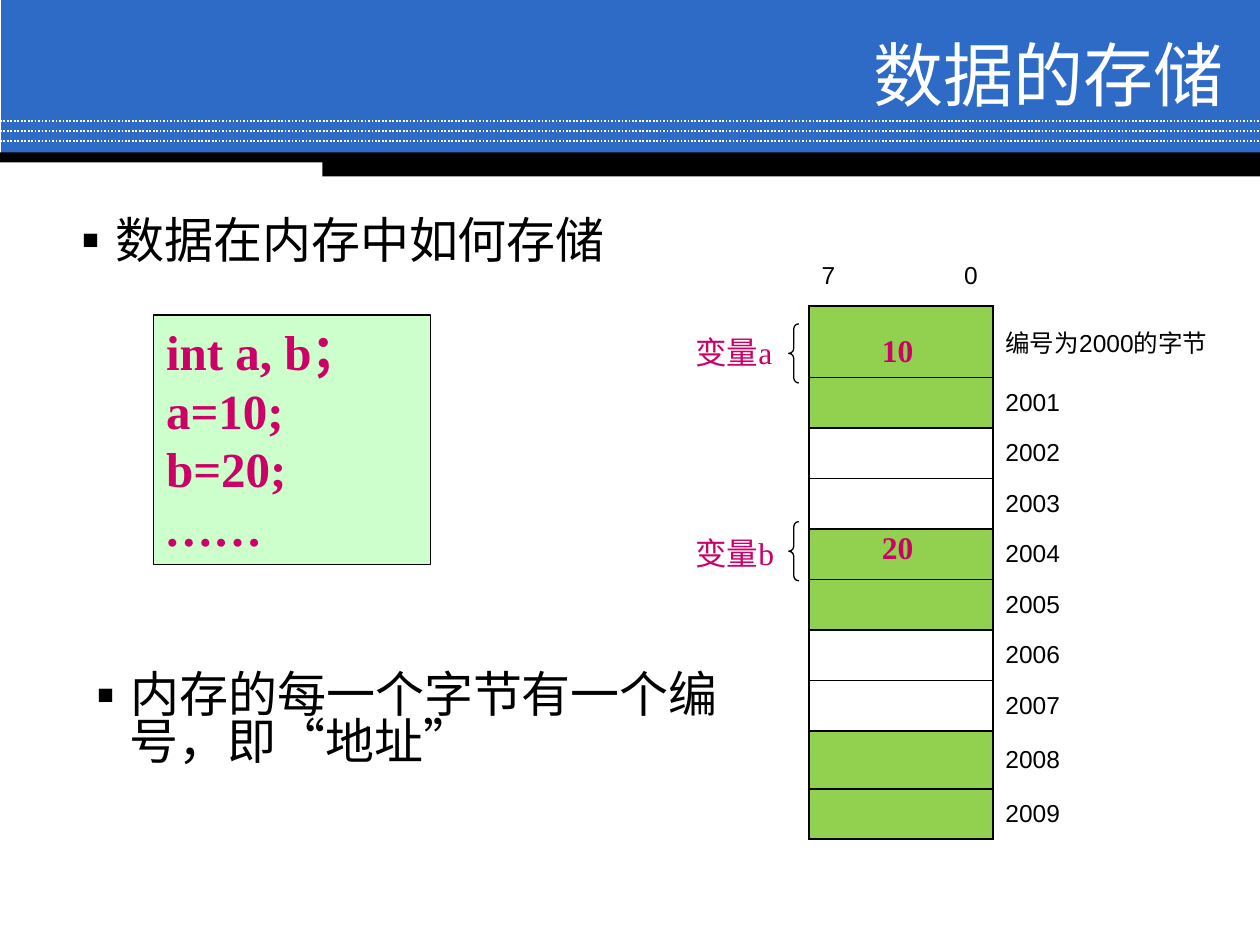
from lxml import etree
from pptx import Presentation, util as u
from pptx.dml.color import RGBColor
from pptx.enum import dml, shapes, text
from pptx.oxml.ns import qn

BLUE = RGBColor(0x2D, 0x6B, 0xC7)
WHITE = RGBColor(0xFF, 0xFF, 0xFF)
BLACK = RGBColor(0, 0, 0)
MINT = RGBColor(0xCC, 0xFF, 0xCC)
GREEN = RGBColor(0x92, 0xD0, 0x50)
MAGENTA = RGBColor(0xCC, 0, 0x66)
SANS, SERIF, CJK = "Arial", "Times New Roman", "Noto Sans CJK SC"
NO_STYLE = "{2D5ABB26-0587-4C30-8999-92F81FD0307C}"

TITLE = "数据的存储"
BULLETS = [  # text, left, top, width, height, line spacing
    ("数据在内存中如何存储", 0.43, 1.61, 5.35, 0.8, 1.0),
    ("内存的每一个字节有一个编号，即“地址”", 0.55, 5.31, 5.3, 1.02, 0.8),
]
CODE = ["int a, b；", "a=10;", "b=20;", "……"]
BIT_RANGE = "7\t0"
ADDRESSES = ["编号为2000的字节"] + [str(n) for n in range(2001, 2010)]
VARIABLES = [  # name, value, label top, value top, brace top
    ("变量a", "10", 2.59, 2.58, 2.57),
    ("变量b", "20", 4.19, 4.14, 4.14),
]
COLUMNS = [1.46, 1.89]
HEADER_HEIGHT, BYTE_HEIGHT, TALL_HEIGHT = 0.35, 0.4, 0.46
TALL_ROW = 9
BYTES_PER_VARIABLE, VARIABLE_STRIDE = 2, 4


def inches(*lengths):
    return [u.Inches(n) for n in lengths]


def write(paragraph, words, size, font=SANS, color=BLACK, bold=False, italic=False):
    run = paragraph.add_run()
    run.text = words
    run.font.size = u.Pt(size)
    run.font.name = font
    run.font.bold, run.font.italic = bold, italic
    run.font.color.rgb = color
    latin = run.font._element.find(qn("a:latin"))
    east_asian = etree.Element(qn("a:ea"), typeface=CJK)
    latin.addnext(east_asian)


def add_label(slide, words, box, size, **style):
    label = slide.shapes.add_textbox(*inches(*box))
    label.text_frame.word_wrap = True
    write(label.text_frame.paragraphs[0], words, size, **style)
    return label.text_frame.paragraphs[0]


def add_figure(slide, kind, box, fill=None, line=None):
    figure = slide.shapes.add_shape(kind, *inches(*box))
    figure.shadow.inherit = False
    if fill is None:
        figure.fill.background()
    else:
        figure.fill.solid()
        figure.fill.fore_color.rgb = fill
    if line is None:
        figure.line.fill.background()
    else:
        figure.line.color.rgb = line
        figure.line.width = u.Pt(0.75)
    return figure


def add_banner(slide):
    rect = shapes.MSO_SHAPE.RECTANGLE
    add_figure(slide, rect, (0.01, 0, 9.99, 1.23), BLUE)
    for row in range(3):
        y = 0.96 + 0.08 * row
        dots = slide.shapes.add_connector(shapes.MSO_CONNECTOR.STRAIGHT, *inches(0, y, 10, y))
        dots.line.color.rgb = WHITE
        dots.line.width = u.Pt(1)
        dots.line.dash_style = dml.MSO_LINE.ROUND_DOT
        etree.SubElement(dots._element.spPr, qn("a:effectLst"))
    add_figure(slide, rect, (0, 1.21, 10, 0.08), BLACK)
    add_figure(slide, rect, (2.56, 1.24, 7.44, 0.16), BLACK)


def add_title(slide):
    title = slide.shapes.title
    title.left, title.top, title.width, title.height = inches(2.89, 0.29, 6.92, 0.58)
    title.text_frame.vertical_anchor = text.MSO_ANCHOR.MIDDLE
    title.text_frame.auto_size = text.MSO_AUTO_SIZE.NONE
    paragraph = title.text_frame.paragraphs[0]
    paragraph.alignment = text.PP_ALIGN.RIGHT
    write(paragraph, TITLE, 40, font=CJK, color=WHITE)
    slide.shapes._spTree.append(title._element)  # in front of the banner


def add_bullet(slide, words, *box, spacing):
    paragraph = add_label(slide, words, box, 28, font=CJK)
    paragraph.line_spacing = spacing
    properties = paragraph._p.get_or_add_pPr()
    properties.set("marL", str(u.Inches(0.38)))
    properties.set("indent", str(-u.Inches(0.38)))
    etree.SubElement(properties, qn("a:buFont"), typeface=CJK)
    etree.SubElement(properties, qn("a:buChar"), char="▪")


def add_code(slide):
    box = add_figure(slide, shapes.MSO_SHAPE.RECTANGLE, (1.22, 2.5, 2.2, 1.98), MINT, BLACK)
    frame = box.text_frame
    frame.vertical_anchor = text.MSO_ANCHOR.TOP
    for i, line in enumerate(CODE):
        paragraph = frame.add_paragraph() if i else frame.paragraphs[0]
        paragraph.alignment = text.PP_ALIGN.LEFT
        write(paragraph, line, 28, font=SERIF, color=MAGENTA, bold=True, italic=line == "……")


def set_borders(cell, sides):
    """Draw black borders on the given sides, before the cell's fill is set."""
    properties = cell._tc.get_or_add_tcPr()
    for side in sides:
        border = etree.SubElement(properties, qn(f"a:ln{side}"), w=str(u.Pt(1)))
        fill = etree.SubElement(border, qn("a:solidFill"))
        etree.SubElement(fill, qn("a:srgbClr"), val=str(BLACK))


def add_memory(slide):
    heights = [HEADER_HEIGHT] + [BYTE_HEIGHT] * len(ADDRESSES)
    heights[TALL_ROW] = TALL_HEIGHT
    box = inches(6.42, 2.03, sum(COLUMNS), sum(heights))
    table = slide.shapes.add_table(len(heights), len(COLUMNS), *box).table
    table.first_row = table.horz_banding = False
    table._tbl.tblPr.find(qn("a:tableStyleId")).text = NO_STYLE
    for column, width in zip(table.columns, COLUMNS):
        column.width = u.Inches(width)
    for row, height in zip(table.rows, heights):
        row.height = u.Inches(height)

    header, blank = table.cell(0, 0), table.cell(0, 1)
    set_borders(header, "B")
    header.fill.background()
    blank.fill.background()
    paragraph = header.text_frame.paragraphs[0]
    tabs = etree.SubElement(paragraph._p.get_or_add_pPr(), qn("a:tabLst"))
    etree.SubElement(tabs, qn("a:tab"), pos=str(u.Inches(1.24)), algn="r")
    write(paragraph, BIT_RANGE, 14)

    for i, address in enumerate(ADDRESSES):
        byte, number = table.cell(i + 1, 0), table.cell(i + 1, 1)
        set_borders(byte, "LRTB")
        set_borders(number, "L")
        if i % VARIABLE_STRIDE < BYTES_PER_VARIABLE:
            byte.fill.solid()
            byte.fill.fore_color.rgb = GREEN
        else:
            byte.fill.background()
        number.fill.background()
        number.vertical_anchor = text.MSO_ANCHOR.MIDDLE
        write(number.text_frame.paragraphs[0], address, 14)


def add_variable(slide, name, value, name_top, value_top, brace_top):
    style = dict(font=SERIF, color=MAGENTA)
    add_label(slide, value, (6.9, value_top, 0.62, 0.4), 18, bold=True, **style)
    add_label(slide, name, (5.42, name_top, 1.02, 0.4), 18, **style)
    brace = add_figure(slide, shapes.MSO_SHAPE.LEFT_BRACE, (6.26, brace_top, 0.08, 0.47), line=BLACK)
    brace.adjustments[0] = 0.5


def main():
    deck = Presentation()
    deck.slide_width, deck.slide_height = inches(10, 7.5)
    slide = deck.slides.add_slide(deck.slide_layouts[5])
    add_banner(slide)
    add_title(slide)
    for *bullet, spacing in BULLETS:
        add_bullet(slide, *bullet, spacing=spacing)
    add_code(slide)
    add_memory(slide)
    for variable in VARIABLES:
        add_variable(slide, *variable)
    deck.save("out.pptx")


if __name__ == "__main__":
    main()
